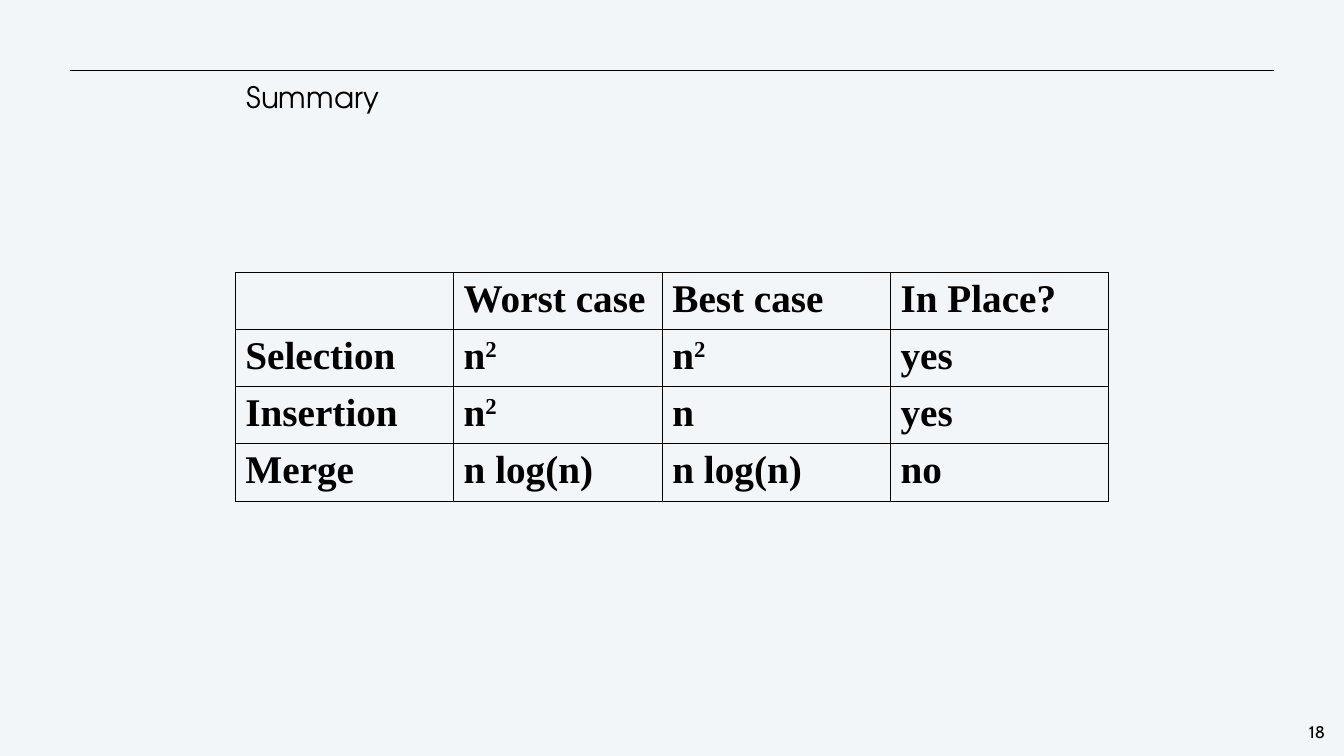
from dataclasses import dataclass

from lxml.etree import SubElement
from pptx import Presentation
from pptx.dml.color import RGBColor
from pptx.enum.shapes import MSO_CONNECTOR as Connector
from pptx.enum.text import MSO_ANCHOR as Anchor
from pptx.enum.text import MSO_AUTO_SIZE as AutoSize
from pptx.enum.text import PP_ALIGN as Align
from pptx.oxml.ns import qn
from pptx.util import Cm, Pt


@dataclass(frozen=True)
class Theme:
    background: str = "F3F6F9"
    ink: str = "000000"
    title_font: str = "TeX Gyre Adventor"
    table_font: str = "Times New Roman"
    number_font: str = "Cabin"
    title_size: int = 42
    table_size: int = 56
    number_size: int = 24
    line_width: int = 1


THEME = Theme()
TITLE_ONLY = 5
COLUMN_WIDTHS = (11, 10.52, 11.5, 11)
ROW_HEIGHT = 2.88
# A caret marks the start of a superscript
SUMMARY = (
    ("", "Worst case", "Best case", "In Place?"),
    ("Selection", "n^2", "n^2", "yes"),
    ("Insertion", "n^2", "n", "yes"),
    ("Merge", "n log(n)", "n log(n)", "no"),
)


def add_run(paragraph, text, font, size, bold=False, superscript=False):
    run = paragraph.add_run()
    run.text = text
    run.font.name = font
    run.font.size = Pt(size)
    run.font.bold = bold
    run.font.color.rgb = RGBColor.from_string(THEME.ink)
    if superscript:
        run.font._element.set("baseline", "30000")


def set_margins(box, horizontal, vertical):
    box.margin_left = box.margin_right = Cm(horizontal)
    box.margin_top = box.margin_bottom = Cm(vertical)


def add_rule(slide, left, right, top):
    rule = slide.shapes.add_connector(
        Connector.STRAIGHT, Cm(left), Cm(top), Cm(right), Cm(top))
    rule.line.color.rgb = RGBColor.from_string(THEME.ink)
    rule.line.width = Pt(THEME.line_width)
    SubElement(rule._element.spPr, qn("a:effectLst"))


def fill_title(slide, text):
    title = slide.shapes.title
    title.left, title.top = Cm(12.27), Cm(3.84)
    title.width, title.height = Cm(43.18), Cm(2.06)
    frame = title.text_frame
    frame.word_wrap = True
    frame.auto_size = AutoSize.SHAPE_TO_FIT_TEXT
    frame.vertical_anchor = Anchor.MIDDLE
    set_margins(frame, 0.15, 0.15)
    paragraph = frame.paragraphs[0]
    paragraph.alignment = Align.LEFT
    paragraph.line_spacing = Pt(50)
    paragraph.space_before = Pt(3)
    add_run(paragraph, text, THEME.title_font, THEME.title_size)


def add_borders(cell):
    properties = cell._tc.get_or_add_tcPr()
    for side in ("lnL", "lnR", "lnT", "lnB"):
        border = SubElement(properties, qn(f"a:{side}"),
                            w=str(Pt(THEME.line_width)))
        fill = SubElement(border, qn("a:solidFill"))
        SubElement(fill, qn("a:srgbClr"), val=THEME.ink)


def fill_cell(cell, text):
    set_margins(cell, 0.51, 0.25)
    add_borders(cell)
    cell.fill.background()
    paragraph = cell.text_frame.paragraphs[0]
    paragraph.space_before = Pt(7)
    base, _, exponent = text.partition("^")
    for part, raised in ((base, False), (exponent, True)):
        if part:
            add_run(paragraph, part, THEME.table_font, THEME.table_size,
                    bold=True, superscript=raised)


def add_summary_table(slide, left, top):
    frame = slide.shapes.add_table(
        len(SUMMARY), len(COLUMN_WIDTHS), Cm(left), Cm(top),
        Cm(sum(COLUMN_WIDTHS)), Cm(ROW_HEIGHT * len(SUMMARY)))
    table = frame.table
    table.first_row = table.horz_banding = False
    for column, width in zip(table.columns, COLUMN_WIDTHS):
        column.width = Cm(width)
    for row, texts in zip(table.rows, SUMMARY):
        row.height = Cm(ROW_HEIGHT)
        for cell, text in zip(row.cells, texts):
            fill_cell(cell, text)


def add_slide_number(slide, text):
    box = slide.shapes.add_textbox(Cm(65.84), Cm(36.3), Cm(1.07), Cm(1.22))
    frame = box.text_frame
    frame.word_wrap = False
    frame.auto_size = AutoSize.SHAPE_TO_FIT_TEXT
    set_margins(frame, 0.1, 0.1)
    paragraph = frame.paragraphs[0]
    paragraph.alignment = Align.CENTER
    paragraph.line_spacing = Pt(28)
    add_run(paragraph, text, THEME.number_font, THEME.number_size)


def main():
    presentation = Presentation()
    presentation.slide_width, presentation.slide_height = Cm(67.74), Cm(38.1)
    slide = presentation.slides.add_slide(
        presentation.slide_layouts[TITLE_ONLY])
    background = slide.background.fill
    background.solid()
    background.fore_color.rgb = RGBColor.from_string(THEME.background)

    # Heading
    add_rule(slide, 3.53, 64.21, 3.56)
    fill_title(slide, "Summary")

    # Comparison of the sorting methods
    add_summary_table(slide, 11.86, 13.72)

    # Footer
    add_slide_number(slide, "18")
    presentation.save("out.pptx")


if __name__ == "__main__":
    main()
